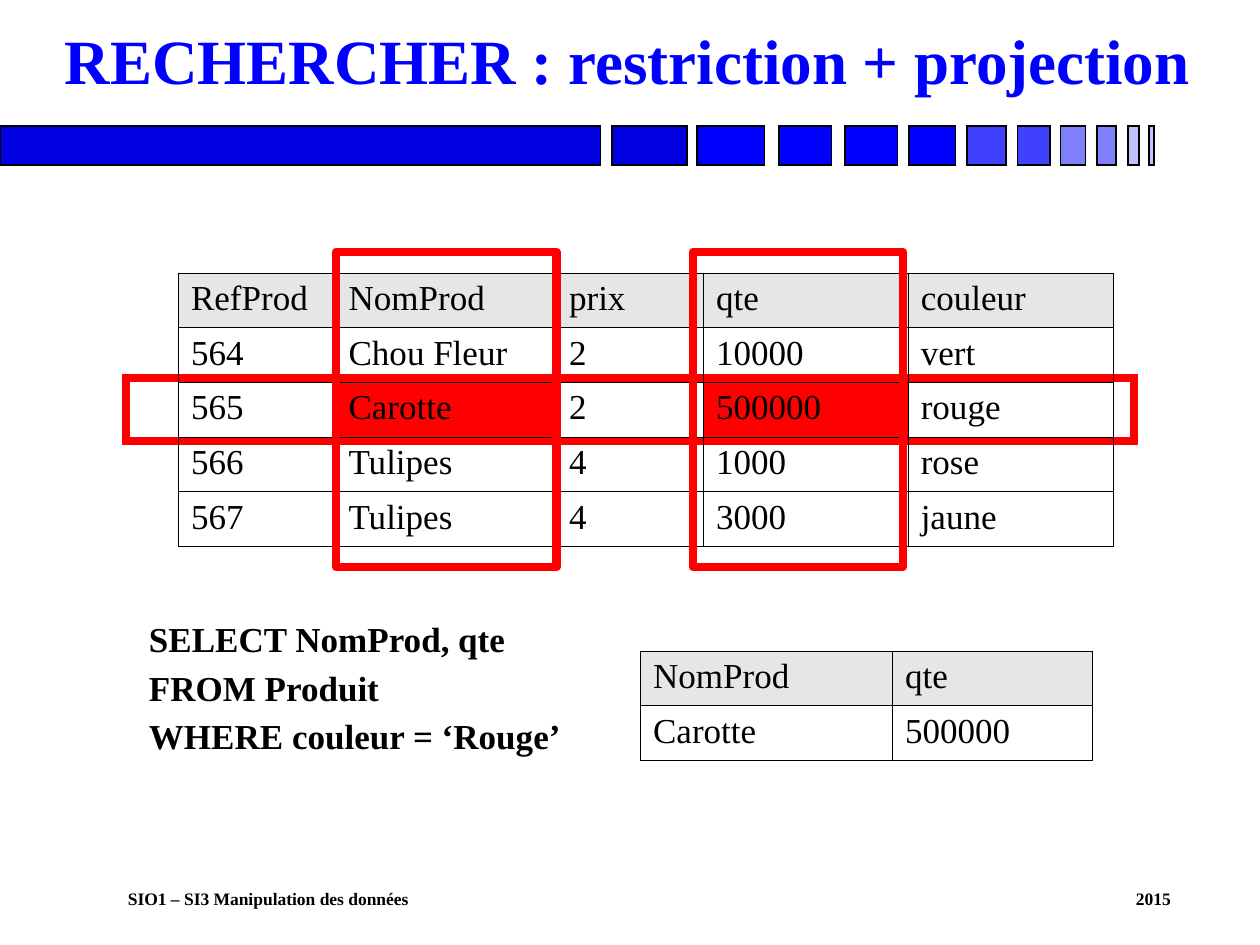
from lxml import etree
from pptx import Presentation
from pptx import util as u
from pptx.dml.color import RGBColor
from pptx.enum import shapes, text
from pptx.oxml import ns

FONT = "Times New Roman"
BLACK = RGBColor(0, 0, 0)
WHITE = RGBColor(255, 255, 255)
RED = RGBColor(255, 0, 0)
GREY = RGBColor(0xE6, 0xE6, 0xE6)
NAVY = RGBColor(0, 0, 0xE0)
BLUE = RGBColor(0, 0, 255)
MID = RGBColor(0x40, 0x40, 255)
SOFT = RGBColor(0x80, 0x80, 255)
PALE = RGBColor(0xC0, 0xC0, 255)

# The slide is a grid of 120 columns by 90 rows, each a twelfth of an inch
UNIT = u.Inches(1) // 12
deck = Presentation()
deck.slide_width, deck.slide_height = 120 * UNIT, 90 * UNIT
slide = deck.slides.add_slide(deck.slide_layouts[6])


def add_rect(area, fill, line, width, join="miter"):
    rect = slide.shapes.add_shape(
        shapes.MSO_SHAPE.RECTANGLE, *[int(n * UNIT) for n in area])
    rect.shadow.inherit = False
    if fill is None:
        rect.fill.background()
    else:
        rect.fill.solid()
        rect.fill.fore_color.rgb = fill
    rect.line.color.rgb = line
    rect.line.width = u.Pt(width)
    etree.SubElement(rect.line._get_or_add_ln(), ns.qn("a:" + join))


def style(para, size, color, bold):
    for run in para.runs:
        run.font.name = FONT
        run.font.size = u.Pt(size)
        run.font.bold = bold
        run.font.color.rgb = color


# Fading bar: left, width, colour
bars = [
    (0, 57.2, NAVY), (58.3, 7.1, NAVY), (66.4, 6.4, BLUE), (74.2, 5, BLUE),
    (80.5, 5, BLUE), (86.6, 4.4, BLUE), (92.1, 3.7, MID), (96.9, 3.1, MID),
    (101, 2.4, SOFT), (104.5, 1.8, SOFT), (107.4, 1.1, PALE), (109.4, 0.5, PALE),
]
for left, wide, color in bars:
    add_rect((left, 12, wide, 3.7), color, BLACK, 1)

# Frame of the matching row, behind the table
add_rect((12, 36, 96, 6), WHITE, RED, 4.5)

# Title, query and footer: area, lines, size, colour, line spacing, anchor
TOP, BOTTOM = text.MSO_ANCHOR.TOP, text.MSO_ANCHOR.BOTTOM
boxes = [
    ((5, 2.75, 112, 7.2), ["RECHERCHER : restriction + projection"],
     36, BLUE, 0.9, BOTTOM),
    ((13, 59, 46, 14),
     ["SELECT NomProd, qte", "FROM Produit", "WHERE couleur = ‘Rouge’"],
     20, BLACK, 0.8, TOP),
    ((11, 84, 106, 3.1), ["SIO1 – SI3 Manipulation des données\t2015"],
     10, BLACK, 1, TOP),
]
for area, lines, size, color, space, anchor in boxes:
    frame = slide.shapes.add_textbox(*[int(n * UNIT) for n in area]).text_frame
    frame.word_wrap = True
    frame.vertical_anchor = anchor
    frame.text = "\n".join(lines)
    for i, para in enumerate(frame.paragraphs):
        para.line_spacing = space
        if i:
            para.space_before = u.Pt(8.5)
        if "\t" in lines[i]:
            tabs = etree.SubElement(para._p.get_or_add_pPr(), ns.qn("a:tabLst"))
            etree.SubElement(tabs, ns.qn("a:tab"), pos=str(96 * UNIT), algn="l")
        style(para, size, color, True)

# Product table and query result: left, top, column widths, rows
HIGH = 5.2
grids = [
    (17, 26, [15, 21, 14, 19.5, 19.5], [
        ["RefProd", "NomProd", "prix", "qte", "couleur"],
        ["564", "Chou Fleur", "2", "10000", "vert"],
        ["565", "Carotte", "2", "500000", "rouge"],
        ["566", "Tulipes", "4", "1000", "rose"],
        ["567", "Tulipes", "4", "3000", "jaune"],
    ]),
    (61, 62, [24, 19], [["NomProd", "qte"], ["Carotte", "500000"]]),
]
found = {(2, 1), (2, 3)}
for left, top, cols, rows in grids:
    area = (left, top, sum(cols), HIGH * len(rows))
    table = slide.shapes.add_table(
        len(rows), len(cols), *[int(n * UNIT) for n in area]).table
    table.first_row = table.horz_banding = False
    for col, wide in zip(table.columns, cols):
        col.width = int(wide * UNIT)
    for r, row in enumerate(rows):
        table.rows[r].height = int(HIGH * UNIT)
        for c, word in enumerate(row):
            cell = table.cell(r, c)
            cell.text_frame.text = word
            style(cell.text_frame.paragraphs[0], 20, BLACK, False)
            # Borders come before the fill in the cell's properties
            props = cell._tc.get_or_add_tcPr()
            for side in ("lnL", "lnR", "lnT", "lnB"):
                edge = etree.SubElement(
                    props, ns.qn("a:" + side), w=str(u.Pt(0.45)))
                paint = etree.SubElement(edge, ns.qn("a:solidFill"))
                etree.SubElement(paint, ns.qn("a:srgbClr"), val=str(BLACK))
            if r == 0 or (r, c) in found:
                cell.fill.solid()
                cell.fill.fore_color.rgb = RED if r else GREY
            else:
                cell.fill.background()

# Frames of the selected columns
for left, wide in [(32, 21), (66, 20)]:
    add_rect((left, 24, wide, 30), None, RED, 5, "round")

deck.save("out.pptx")
